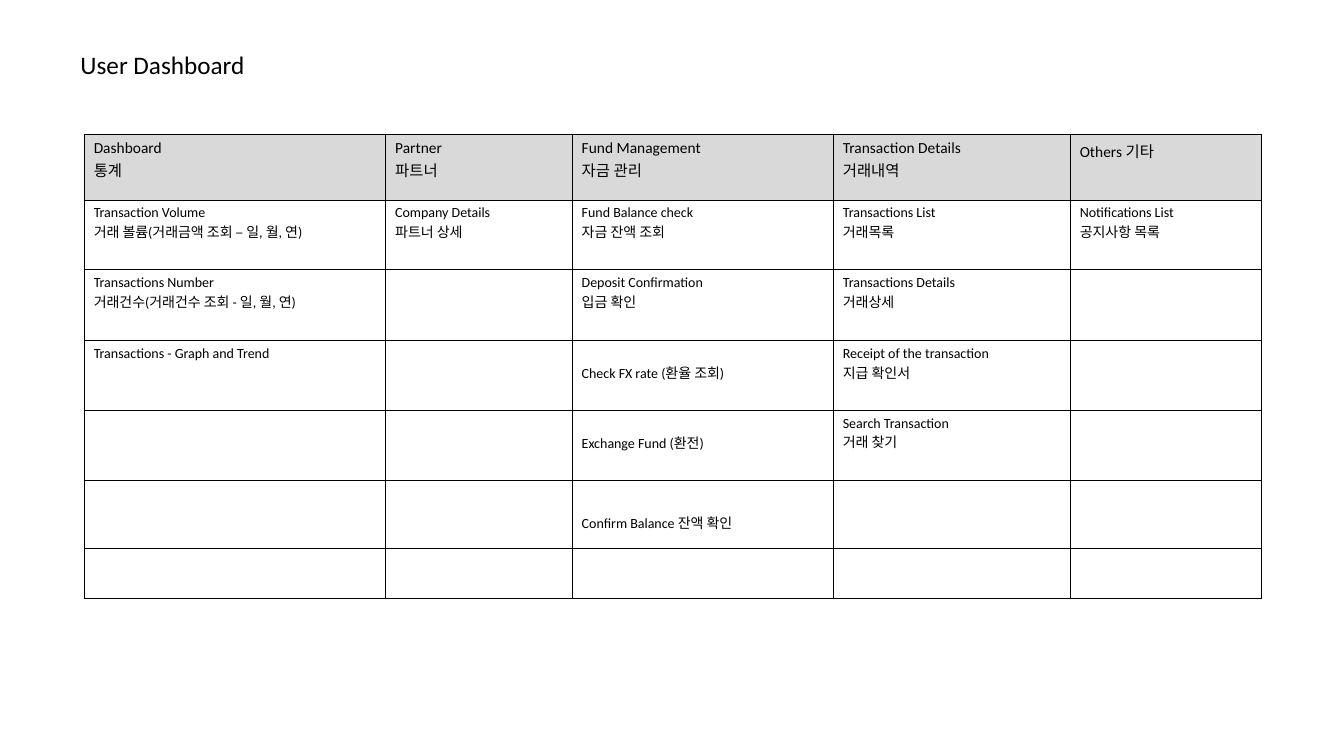
from lxml.etree import SubElement
from pptx import Presentation
from pptx.dml.color import RGBColor
from pptx.enum.text import MSO_ANCHOR
from pptx.oxml.ns import qn
from pptx.util import Inches, Pt

COLORS = {"text": "000000", "border": "000000", "header": "D9D9D9", "body": "FFFFFF"}
FONT = "Calibri"
COLUMN_WIDTHS = [2.99, 1.85, 2.59, 2.35, 1.9]
ROW_HEIGHTS = [0.65, 0.69, 0.7, 0.69, 0.7, 0.67, 0.5]
LOWERED_MARGIN = 0.22
LOWERED_ROWS = {3, 4, 5}
FUND_COLUMN = 2
MIDDLE_ROW = 5
MENU = [
    ["Dashboard\n통계", "Partner\n파트너", "Fund Management\n자금 관리",
     "Transaction Details\n거래내역", "Others 기타"],
    ["Transaction Volume\n거래 볼륨(거래금액 조회 – 일, 월, 연)", "Company Details\n파트너 상세",
     "Fund Balance check\n자금 잔액 조회", "Transactions List\n거래목록",
     "Notifications List\n공지사항 목록"],
    ["Transactions Number\n거래건수(거래건수 조회 - 일, 월, 연)", "",
     "Deposit Confirmation\n입금 확인", "Transactions Details\n거래상세", ""],
    ["Transactions - Graph and Trend", "", "Check FX rate (환율 조회)",
     "Receipt of the transaction\n지급 확인서", ""],
    ["", "", "Exchange Fund (환전)", "Search Transaction\n거래 찾기", ""],
    ["", "", "Confirm Balance 잔액 확인", "", ""],
    [""] * 5,
]


def write_text(text_frame, text, size):
    text_frame.text = text
    for paragraph in text_frame.paragraphs:
        paragraph.font.size = Pt(size)
        for run in paragraph.runs:
            run.font.size = Pt(size)
            run.font.name = FONT
            run.font.color.rgb = RGBColor.from_string(COLORS["text"])


def style_cell(cell, fill):
    properties = cell._tc.get_or_add_tcPr()
    for side in ("a:lnL", "a:lnR", "a:lnT", "a:lnB"):
        line = SubElement(properties, qn(side), w=str(Pt(0.25)))
        line_fill = SubElement(line, qn("a:solidFill"))
        SubElement(line_fill, qn("a:srgbClr"), val=COLORS["border"])
    cell.fill.solid()
    cell.fill.fore_color.rgb = RGBColor.from_string(fill)


def add_title(slide, left, top, width, height):
    box = slide.shapes.add_textbox(*map(Inches, (left, top, width, height)))
    box.text_frame.word_wrap = True
    write_text(box.text_frame, "User Dashboard", 18)


def add_menu_table(slide, left, top, width, height):
    frame = slide.shapes.add_table(len(MENU), len(COLUMN_WIDTHS),
                                   *map(Inches, (left, top, width, height)))
    table = frame.table
    table.first_row = False
    table.horz_banding = False
    for column, share in zip(table.columns, COLUMN_WIDTHS):
        column.width = Inches(width * share / sum(COLUMN_WIDTHS))
    for row, share in zip(table.rows, ROW_HEIGHTS):
        row.height = Inches(height * share / sum(ROW_HEIGHTS))
    for row_index, entries in enumerate(MENU):
        is_header = row_index == 0
        for column_index, entry in enumerate(entries):
            cell = table.cell(row_index, column_index)
            style_cell(cell, COLORS["header" if is_header else "body"])
            write_text(cell.text_frame, entry, 11 if is_header else 10)
    for row_index in LOWERED_ROWS:
        table.cell(row_index, FUND_COLUMN).margin_top = Inches(LOWERED_MARGIN)
    table.cell(MIDDLE_ROW, FUND_COLUMN).vertical_anchor = MSO_ANCHOR.MIDDLE


def main():
    presentation = Presentation()
    presentation.slide_width = Inches(13.33)
    presentation.slide_height = Inches(7.5)
    slide = presentation.slides.add_slide(presentation.slide_layouts[6])
    add_menu_table(slide, 0.83, 1.33, 11.68, 4.61)
    add_title(slide, 0.7, 0.44, 2.76, 0.5)
    presentation.save("out.pptx")


if __name__ == "__main__":
    main()
